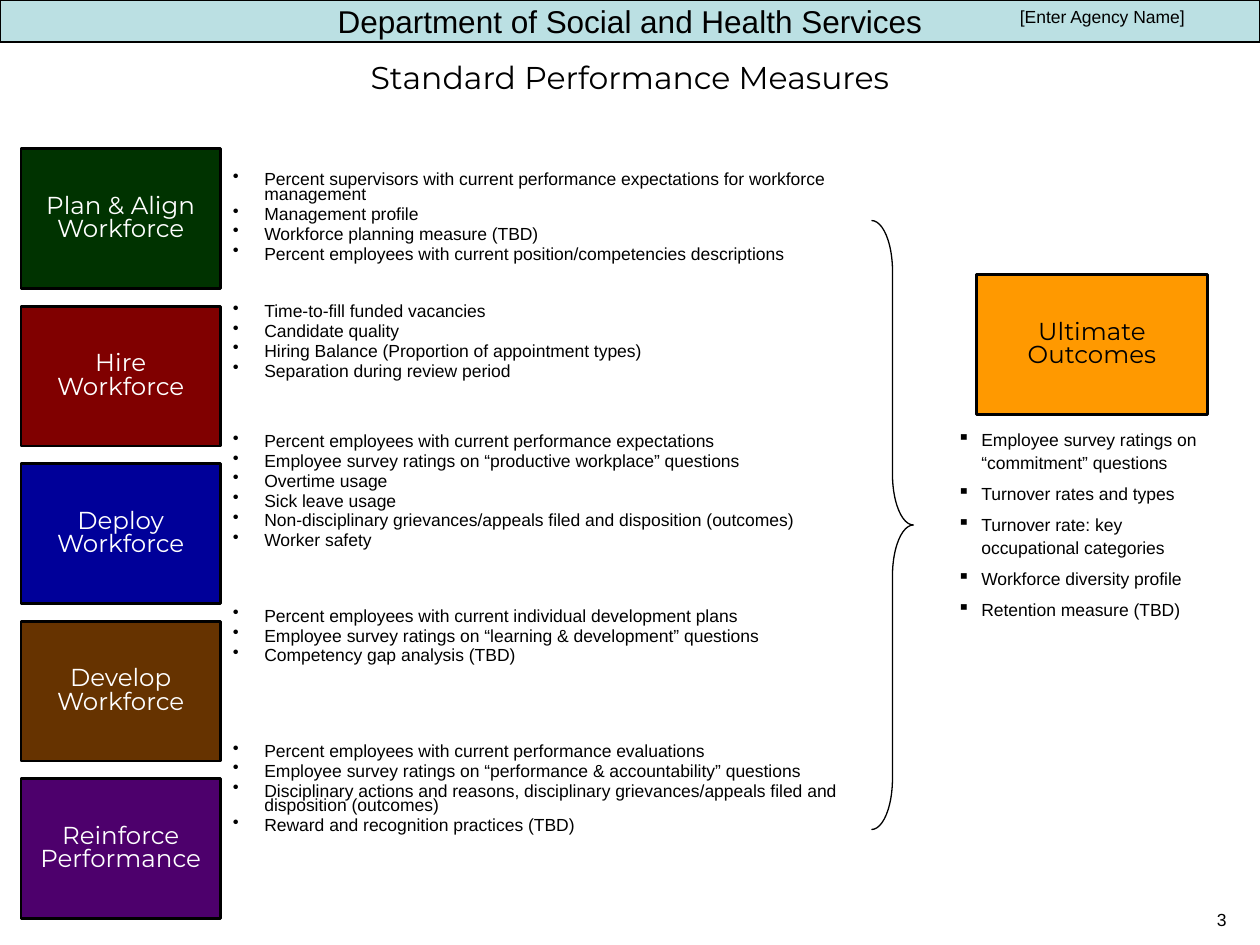
"""Build the Standard Performance Measures slide."""
from lxml.etree import SubElement
from pptx import Presentation
from pptx.dml.color import RGBColor
from pptx.enum.shapes import MSO_SHAPE
from pptx.enum.text import MSO_ANCHOR, PP_ALIGN
from pptx.oxml.ns import qn
from pptx.util import Inches, Pt

BLACK = RGBColor(0x00, 0x00, 0x00)
WHITE = RGBColor(0xFF, 0xFF, 0xFF)
GREEN = RGBColor(0x00, 0x33, 0x00)
RED = RGBColor(0x80, 0x00, 0x00)
BLUE = RGBColor(0x00, 0x00, 0x99)
BROWN = RGBColor(0x66, 0x33, 0x00)
PURPLE = RGBColor(0x4D, 0x00, 0x6C)
ORANGE = RGBColor(0xFF, 0x99, 0x00)
PALE_TEAL = RGBColor(0xBB, 0xE0, 0xE3)

COLUMNS, ROWS = 120, 90
STAGE_PITCH, STAGE_HEIGHT = 15, 13.33

STAGES = [
    ("Plan & Align Workforce", GREEN, 0, [
        "Percent supervisors with current performance expectations for workforce management",
        "Management profile",
        "Workforce planning measure (TBD)",
        "Percent employees with current position/competencies descriptions",
    ]),
    ("Hire\vWorkforce", RED, 24.5, [
        "Time-to-fill funded vacancies",
        "Candidate quality",
        "Hiring Balance (Proportion of appointment types)",
        "Separation during review period",
    ]),
    ("Deploy\vWorkforce", BLUE, 32, [
        "Percent employees with current performance expectations",
        "Employee survey ratings on “productive workplace” questions",
        "Overtime usage",
        "Sick leave usage",
        "Non-disciplinary grievances/appeals filed and disposition (outcomes)",
        "Worker safety",
    ]),
    ("Develop Workforce", BROWN, 34.8, [
        "Percent employees with current individual development plans",
        "Employee survey ratings on “learning & development” questions",
        "Competency gap analysis (TBD)",
    ]),
    ("Reinforce Performance", PURPLE, 46.2, [
        "Percent employees with current performance evaluations",
        "Employee survey ratings on “performance & accountability” questions",
        "Disciplinary actions and reasons, disciplinary grievances/appeals filed and disposition (outcomes)",
        "Reward and recognition practices (TBD)",
    ]),
]
OUTCOMES = [
    "Employee survey ratings on “commitment” questions",
    "Turnover rates and types",
    "Turnover rate: key occupational categories",
    "Workforce diversity profile",
    "Retention measure (TBD)",
]

presentation = Presentation()
presentation.slide_width, presentation.slide_height = Inches(10), Inches(7.5)
column = presentation.slide_width / COLUMNS
row = presentation.slide_height / ROWS
slide = presentation.slides.add_slide(presentation.slide_layouts[6])


def add_box(left, top, width, height, lines, size, font="Arial", color=BLACK,
            align=PP_ALIGN.LEFT, fill=None, border=1.5):
    """Add a text box, or a bordered rectangle when a fill is given."""
    frame = [round(value) for value in (left * column, top * row, width * column, height * row)]
    if fill is None:
        shape = slide.shapes.add_textbox(*frame)
    else:
        shape = slide.shapes.add_shape(MSO_SHAPE.RECTANGLE, *frame)
        shape.shadow.inherit = False
        shape.fill.solid()
        shape.fill.fore_color.rgb = fill
        shape.line.color.rgb = BLACK
        shape.line.width = Pt(border)
        shape.text_frame.vertical_anchor = MSO_ANCHOR.MIDDLE
    shape.text_frame.word_wrap = True
    shape.text_frame.text = "\n".join(lines)
    for paragraph in shape.text_frame.paragraphs:
        paragraph.alignment = align
        paragraph.font.size = Pt(size)
        paragraph.font.name = font
        paragraph.font.color.rgb = color
    return shape


def add_bullets(shape, character, indent, line_spacing, gaps):
    """Give each paragraph a hanging bullet and its space before."""
    for paragraph, gap in zip(shape.text_frame.paragraphs, gaps):
        properties = paragraph._p.get_or_add_pPr()
        properties.set("marL", str(Inches(indent)))
        properties.set("indent", str(-Inches(indent)))
        bullet = SubElement(properties, qn("a:buChar"), char=character)
        properties.insert(0, bullet)
        paragraph.line_spacing = line_spacing
        paragraph.space_before = Pt(gap)


title = add_box(0, 3, COLUMNS, 8.67, ["Standard Performance Measures"], 18,
                "Montserrat", align=PP_ALIGN.CENTER)
title.text_frame.vertical_anchor = MSO_ANCHOR.MIDDLE

measures, measure_gaps = [], []
for name, color, first_gap, stage_measures in STAGES:
    measures += stage_measures
    measure_gaps += [first_gap] + [2.9] * (len(stage_measures) - 1)
measure_list = add_box(21, 16, 67, 67, measures, 10)
add_bullets(measure_list, "•", 0.25, 0.7, measure_gaps)

labels = [(2, 14.17 + index * STAGE_PITCH, 19, name, WHITE, color)
          for index, (name, color, first_gap, stage_measures) in enumerate(STAGES)]
labels.append((93, 26.17, 22, "Ultimate Outcomes", BLACK, ORANGE))
for left, top, width, name, text_color, fill in labels:
    label = add_box(left, top, width, STAGE_HEIGHT, [name], 14, "Montserrat",
                    text_color, PP_ALIGN.CENTER, fill)
    label.text_frame.margin_left = label.text_frame.margin_right = Inches(0.08)
    label.text_frame.paragraphs[0].line_spacing = 0.8

outcome_list = add_box(90, 40.1, 27, 24.5, OUTCOMES, 10)
add_bullets(outcome_list, "▪", 0.19, 1.1, [0] + [4.4] * (len(OUTCOMES) - 1))

brace = slide.shapes.add_shape(MSO_SHAPE.RIGHT_BRACE, round(83 * column), round(21 * row),
                               round(4 * column), round(58 * row))
brace.shadow.inherit = False
brace.adjustments[0] = 1.21
brace.fill.background()
brace.line.color.rgb = BLACK
brace.line.width = Pt(0.75)

add_box(0, 0, COLUMNS, 4, ["Department of Social and Health Services"], 18,
        align=PP_ALIGN.CENTER, fill=PALE_TEAL, border=0.75)
add_box(54, 0, 60, 3, ["[Enter Agency Name]"], 10, align=PP_ALIGN.RIGHT)
add_box(90, 86, 28, 4, ["3"], 10, align=PP_ALIGN.RIGHT)

presentation.save("out.pptx")
